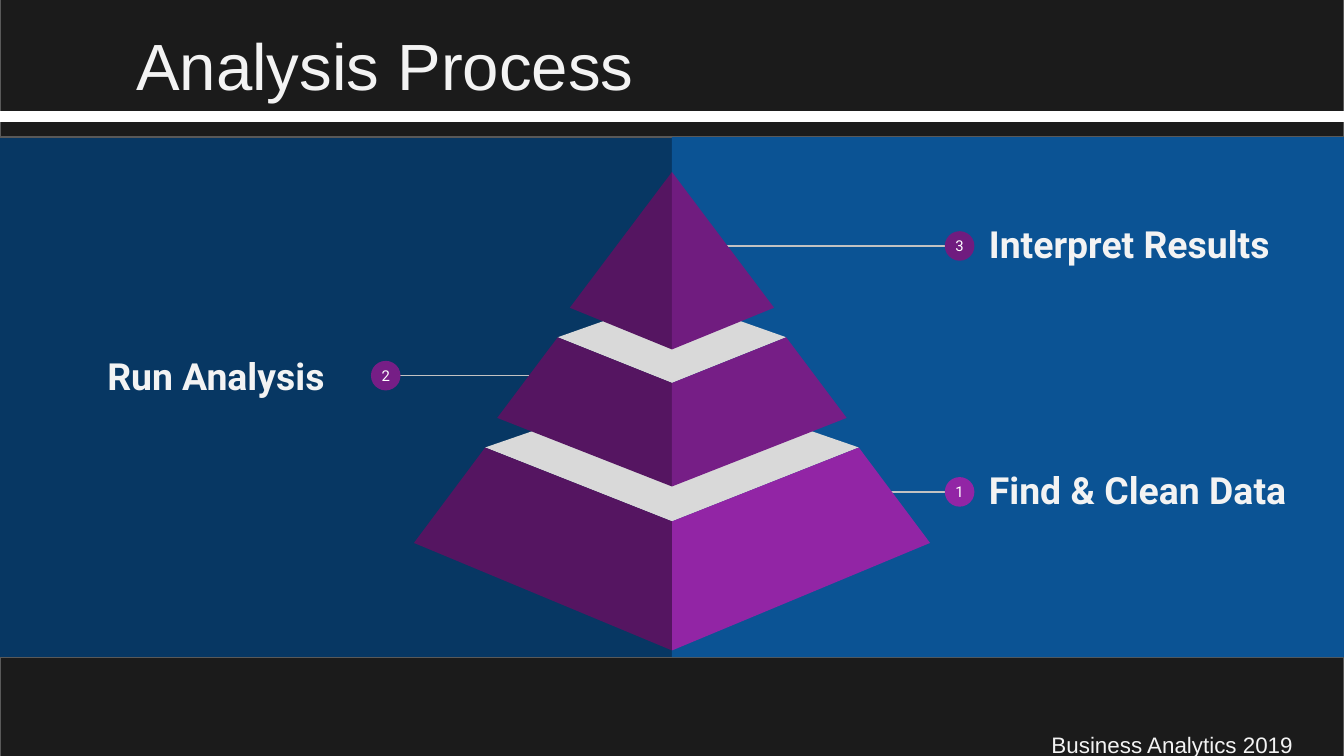
from dataclasses import dataclass

from lxml import etree
from pptx import Presentation
from pptx.dml.color import RGBColor
from pptx.enum.shapes import MSO_CONNECTOR, MSO_SHAPE
from pptx.enum.text import MSO_ANCHOR, PP_ALIGN
from pptx.oxml.ns import qn
from pptx.util import Inches, Pt

RECT, OVAL = MSO_SHAPE.RECTANGLE, MSO_SHAPE.OVAL
STRAIGHT = MSO_CONNECTOR.STRAIGHT
TOP, MIDDLE = MSO_ANCHOR.TOP, MSO_ANCHOR.MIDDLE
LEFT, CENTER = PP_ALIGN.LEFT, PP_ALIGN.CENTER

# The grid has square cells of a tenth of an inch.
COLS, ROWS = 100, 56.25


@dataclass(frozen=True)
class Theme:
    band: str = "1B1B1B"
    edge: str = "595959"
    navy: str = "073763"
    blue: str = "0B5394"
    white: str = "FFFFFF"
    text: str = "F3F3F3"
    wire: str = "C2C2C2"
    cap: str = "D9D9D9"
    shade: str = "551561"
    base: str = "9225A5"
    mid: str = "761E86"
    tip: str = "701C7F"
    sans: str = "Arial"
    head: str = "Roboto"
    title: int = 35
    label: int = 20
    foot: int = 12
    digit: int = 8
    thin: float = 0.75
    thick: float = 6


T = Theme()


def cell(n):
    return Inches(n / 10)


def color(code):
    return RGBColor.from_string(code)


def paint(shape, fill, line=None):
    shape.shadow.inherit = False
    shape.fill.solid()
    shape.fill.fore_color.rgb = color(fill)
    if line:
        shape.line.color.rgb = color(line)
        shape.line.width = Pt(T.thin)
    else:
        shape.line.fill.background()
    return shape


def block(slide, kind, box, fill, line=None):
    shape = slide.shapes.add_shape(kind, *map(cell, box))
    return paint(shape, fill, line)


def facet(slide, points, fill):
    """Draw a closed polygon through points given in grid cells."""
    first, *rest = [(cell(x), cell(y)) for x, y in points]
    pen = slide.shapes.build_freeform(*first)
    pen.add_line_segments(rest, close=True)
    paint(pen.convert_to_shape(), fill)


def rule(slide, start, end, tint, width):
    line = slide.shapes.add_connector(STRAIGHT, *map(cell, start + end))
    line.line.color.rgb = color(tint)
    line.line.width = Pt(width)
    etree.SubElement(line._element.spPr, qn("a:effectLst"))


def write(shape, text, size, font=T.head, tint=T.text, bold=False,
          align=LEFT, anchor=TOP, inset=1, space=None, wrap=True):
    frame = shape.text_frame
    frame.word_wrap = wrap
    frame.vertical_anchor = anchor
    frame.margin_left = frame.margin_right = cell(inset)
    frame.margin_top = frame.margin_bottom = cell(inset)
    para = frame.paragraphs[0]
    para.alignment = align
    para.line_spacing = space
    run = para.add_run()
    run.text = text
    run.font.size = Pt(size)
    run.font.name = font
    run.font.bold = bold
    run.font.color.rgb = color(tint)


def label(slide, box, text, size, **style):
    write(slide.shapes.add_textbox(*map(cell, box)), text, size, **style)


def header(slide, box):
    x, y, w, h = box
    block(slide, RECT, box, T.band, T.edge)
    rule(slide, (x, y + 8.75), (x + w, y + 8.75), T.white, T.thick)
    label(slide, (x + 9.15, y + 1, 47.3, 6), "Analysis Process", T.title,
          font=T.sans)


def footer(slide, box):
    x, y, w, h = box
    block(slide, RECT, box, T.band, T.edge)
    label(slide, (x + w - 22.75, y + 3.5, 22.75, 3.8),
          "Business Analytics 2019", T.foot, font=T.sans, space=1.5)


def callout(slide, box, text, digit, fill, reach, right=True):
    """Place a label, its badge and a wire to column reach."""
    x, y, w, h = box
    size = 2.2
    if right:
        left, end, row = x - 2.3, x - 0.2, y + h / 2 + 0.15
    else:
        left, end, row = x + w + 0.2, x + w + 0.9, y + h / 2
    rule(slide, (reach, row), (end, row), T.wire, T.thin)
    label(slide, box, text, T.label, bold=True, anchor=MIDDLE)
    badge = block(slide, OVAL, (left, row - size / 2, size, size), fill)
    write(badge, digit, T.digit, tint=T.white, align=CENTER, anchor=MIDDLE,
          inset=0, wrap=False)


def pyramid(slide, box):
    """Stack mirrored tiers around the box's axis, from base to tip."""
    x, y, w, h = box
    axis = x + w / 2
    # half width and row of shoulder, then of foot; rows of back, front, nose
    tiers = (
        ((13.9, 20.5), (w / 2, 27.6), 15.7, 26, h, T.base),
        ((8.5, 12.3), (13, 18.3), 9.3, 15.7, 23.4, T.mid),
        ((0, 0), (7.6, 10.1), 0, 0, 13.2, T.tip),
    )
    for (wide, high), (out, low), back, front, nose, fill in tiers:
        if wide:
            facet(slide, [(axis - wide, y + high), (axis, y + front),
                          (axis + wide, y + high), (axis, y + back)], T.cap)
        for side, tone in ((-1, T.shade), (1, fill)):
            face = [(axis + side * wide, y + high),
                    (axis + side * out, y + low), (axis, y + nose)]
            if wide:
                face.append((axis, y + front))
            facet(slide, face, tone)


def main():
    deck = Presentation()
    deck.slide_width, deck.slide_height = cell(COLS), cell(ROWS)
    slide = deck.slides.add_slide(deck.slide_layouts[6])
    half = COLS / 2
    block(slide, RECT, (0, 10.2, half, 38.7), T.navy)
    footer(slide, (0, 48.9, COLS, 8.1))
    header(slide, (0, -0.1, COLS, 10.3))
    block(slide, RECT, (half, 10.2, half, 38.7), T.blue)
    callout(slide, (72.6, 28.9, 24.3, 15.1), "Find & Clean Data", "1",
            T.base, 66)
    callout(slide, (7, 20.4, 20.4, 15.1), "Run Analysis", "2",
            T.mid, 39.7, right=False)
    callout(slide, (72.6, 10.6, 24.8, 15.1), "Interpret Results", "3",
            T.tip, 53.7)
    pyramid(slide, (30.8, 12.8, 38.4, 35.6))
    deck.save("out.pptx")


if __name__ == "__main__":
    main()
